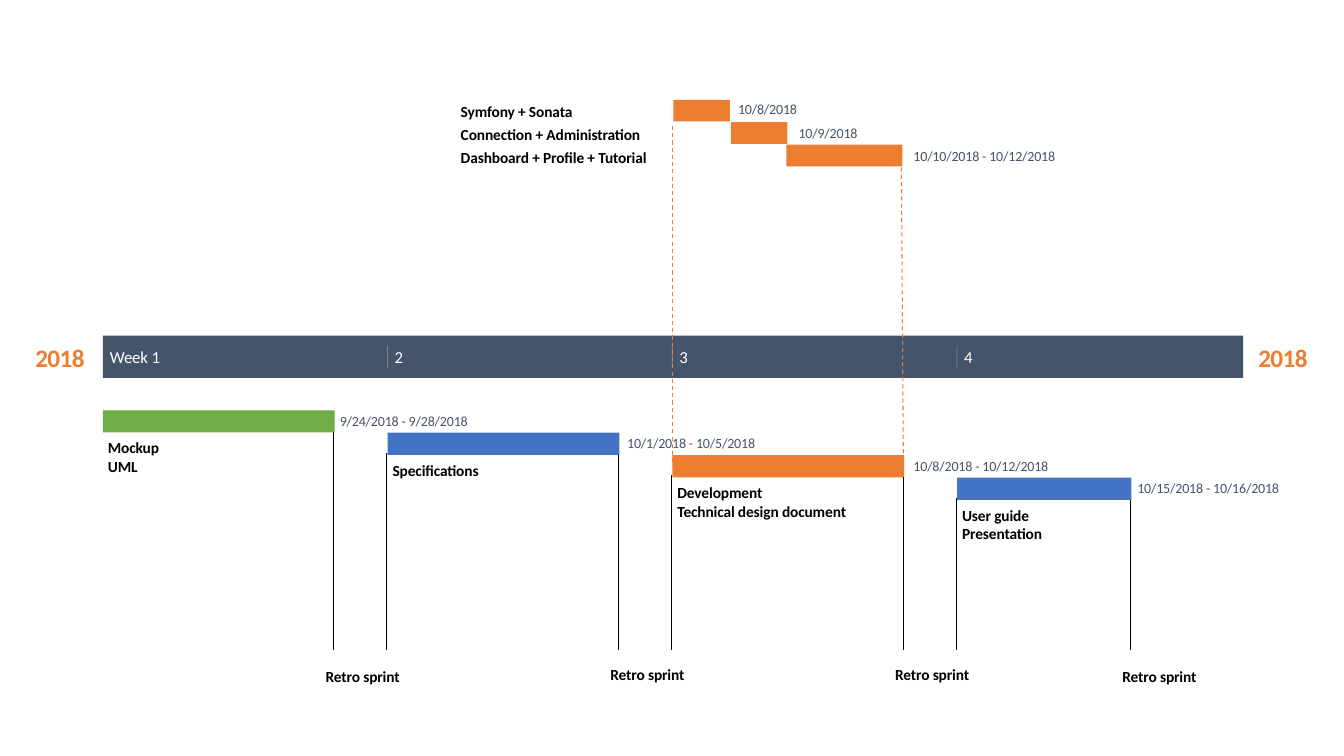
"""Build a four-week project timeline with phases, retro sprints and a task breakdown."""
from pptx import Presentation, util as u
from pptx.dml.color import RGBColor
from pptx.enum import dml, shapes, text
from pptx.oxml import ns, xmlchemy as xml

ORANGE = RGBColor(0xED, 0x7D, 0x31)
GREEN = RGBColor(0x70, 0xAD, 0x47)
BLUE = RGBColor(0x44, 0x72, 0xC4)
SLATE = RGBColor(0x44, 0x54, 0x6A)
BLACK = RGBColor(0, 0, 0)
WHITE = RGBColor(255, 255, 255)

YEAR = {"size": u.Pt(18), "bold": True, "name": "Calibri"}
WEEK = {"size": u.Pt(12), "bold": False, "name": "Calibri"}
LABEL = {"size": u.Pt(11), "bold": True, "name": "Calibri"}
DATE = {"size": u.Pt(10), "bold": False, "name": "Calibri"}
FRAME = {"margin_left": 0, "margin_top": 0, "margin_right": 0, "margin_bottom": 0,
         "vertical_anchor": text.MSO_ANCHOR.MIDDLE}

deck = Presentation()
deck.slide_width, deck.slide_height = u.Inches(13.33), u.Inches(7.5)
slide = deck.slides.add_slide(deck.slide_layouts[6])


def write(words, left, top, width, height, font, color, space=-10, wrap=True,
          align=text.PP_ALIGN.LEFT):
    box = slide.shapes.add_textbox(*map(u.Inches, (left, top, width, height)))
    frame = box.text_frame
    for key, value in {**FRAME, "word_wrap": wrap}.items():
        setattr(frame, key, value)
    frame.text = words
    for para in frame.paragraphs:
        para.alignment = align
        for run in para.runs:
            for key, value in font.items():
                setattr(run.font, key, value)
            run.font.color.rgb = color
            run._r.get_or_add_rPr().set("spc", str(space))


def draw(start, end, color, width, dash=None, alpha=None):
    line = slide.shapes.add_connector(shapes.MSO_CONNECTOR.STRAIGHT,
                                      *map(u.Inches, start + end))
    line.line.color.rgb = color
    line.line.width = u.Pt(width)
    if dash:
        line.line.dash_style = dash
    props = line._element.spPr
    if alpha:
        tint = props.find(".//" + ns.qn("a:srgbClr"))
        tint.append(xml.OxmlElement("a:alpha"))
        tint[0].set("val", str(alpha * 1000))
    props.append(xml.OxmlElement("a:effectLst"))


START, STEP, DROP = 1.02, 2.824, 0.223
phases = [
    ("Mockup\nUML", "9/24/2018 - 9/28/2018", 2.3, GREEN, 3.37, 0.96, 6.61),
    ("Specifications", "10/1/2018 - 10/5/2018", 2.3, BLUE, 6.22, 0.96, 6.59),
    ("Development\nTechnical design document", "10/8/2018 - 10/12/2018", 2.3, ORANGE,
     9.06, 2.75, 6.59),
    ("User guide\nPresentation", "10/15/2018 - 10/16/2018", 1.73, BLUE, 11.28, 0.96, 6.61),
]
tasks = [
    ("Symfony + Sonata", "10/8/2018", 6.68, 0.56, 7.32),
    ("Connection + Administration", "10/9/2018", 7.25, 0.56, 7.92),
    ("Dashboard + Profile + Tutorial", "10/10/2018 - 10/12/2018", 7.8, 1.15, 9.06),
]

bars = [(START, 3.33, 11.31, 0.42, SLATE)]
bars += [(START + i * STEP, 4.07 + i * DROP, phase[2], 0.22, phase[3])
         for i, phase in enumerate(phases)]
bars += [(task[2], 0.99 + i * DROP, task[3], 0.215, ORANGE) for i, task in enumerate(tasks)]
for *place, color in bars:
    bar = slide.shapes.add_shape(shapes.MSO_SHAPE.RECTANGLE, *map(u.Inches, place))
    bar.shadow.inherit = False
    bar.fill.solid()
    bar.fill.fore_color.rgb = color
    bar.line.fill.background()

for left in (0.35, 12.48):
    write("2018", left, 3.39, 0.49, 0.31, YEAR, ORANGE, -40, False, text.PP_ALIGN.CENTER)

for i, name in enumerate(("Week 1", "2", "3", "4")):
    left = START + i * STEP
    write(name, left + 0.07, 3.44, 0.71, 0.2, WEEK, WHITE, -30 if i else -10, False)
    if i:
        draw((left, 3.43), (left, 3.65), WHITE, 0.5, alpha=30)

for i, (name, dates, width, color, side, wide, foot) in enumerate(phases):
    left, top = START + i * STEP, 4.07 + i * DROP
    right = left + width - 0.01
    tall = 0.37 if "\n" in name else 0.19
    write(name, left + 0.05, top + 0.28, wide, tall, LABEL, BLACK)
    write(dates, side, top + 0.02, 1.52, 0.17, DATE, SLATE)
    write("Retro sprint", right - 0.08, foot, 0.76, 0.19, LABEL, BLACK)
    draw((right, top + 0.22), (right, 6.45), BLACK, 0.6)
    if i:
        draw((left - 0.01, top + 0.2), (left - 0.01, 6.45), BLACK, 0.6)

for i, (name, dates, left, width, side) in enumerate(tasks):
    write(name, 4.57, 1.01 + i * 0.23, 2.03, 0.19, LABEL, BLACK)
    write(dates, side, 1 + i * 0.23, 1.52, 0.17, DATE, SLATE)

for start, end in (((6.67, 1.25), (6.67, 4.62)), ((8.94, 1.59), (8.96, 4.62))):
    draw(start, end, ORANGE, 0.75, dml.MSO_LINE.DASH)

deck.save("out.pptx")
